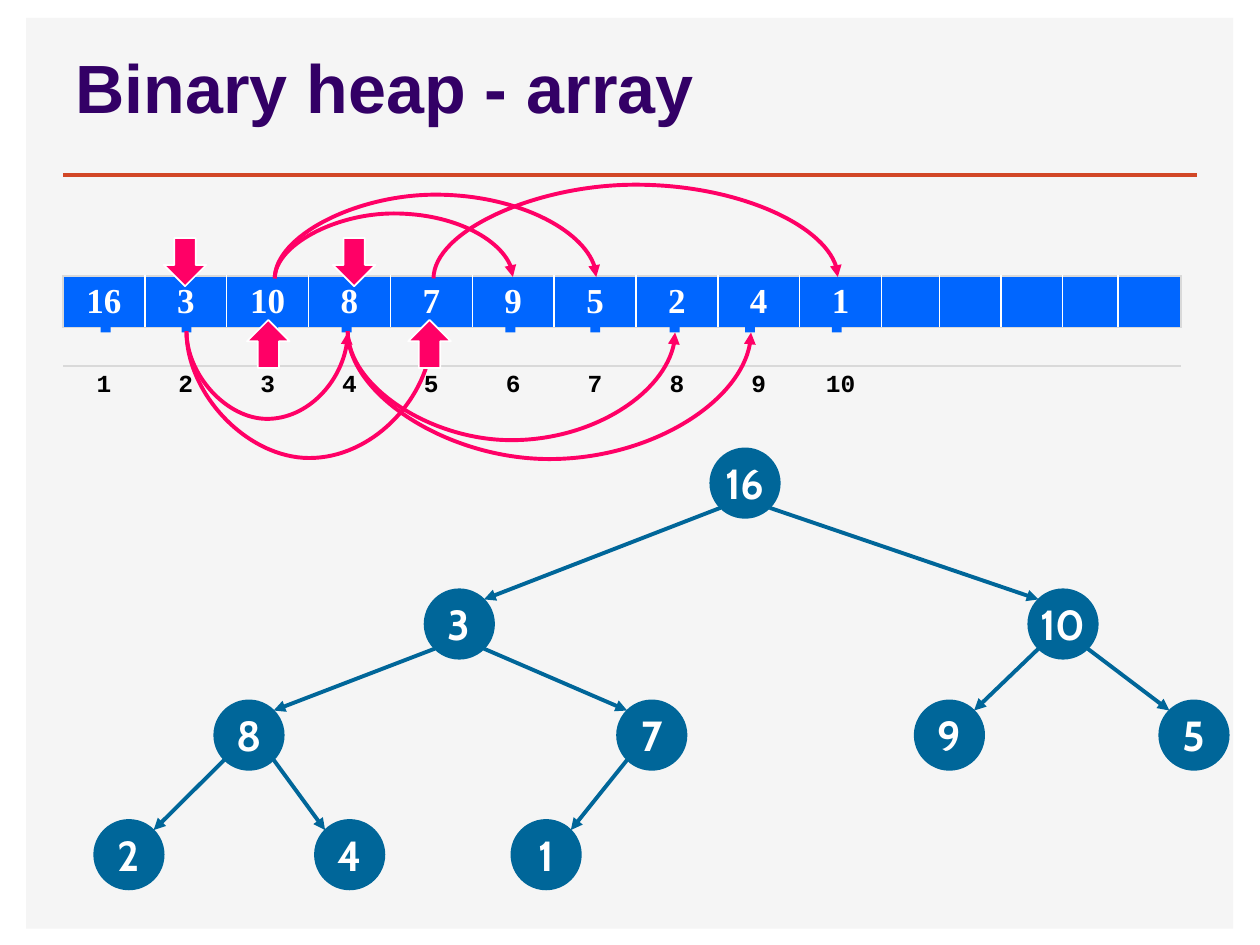
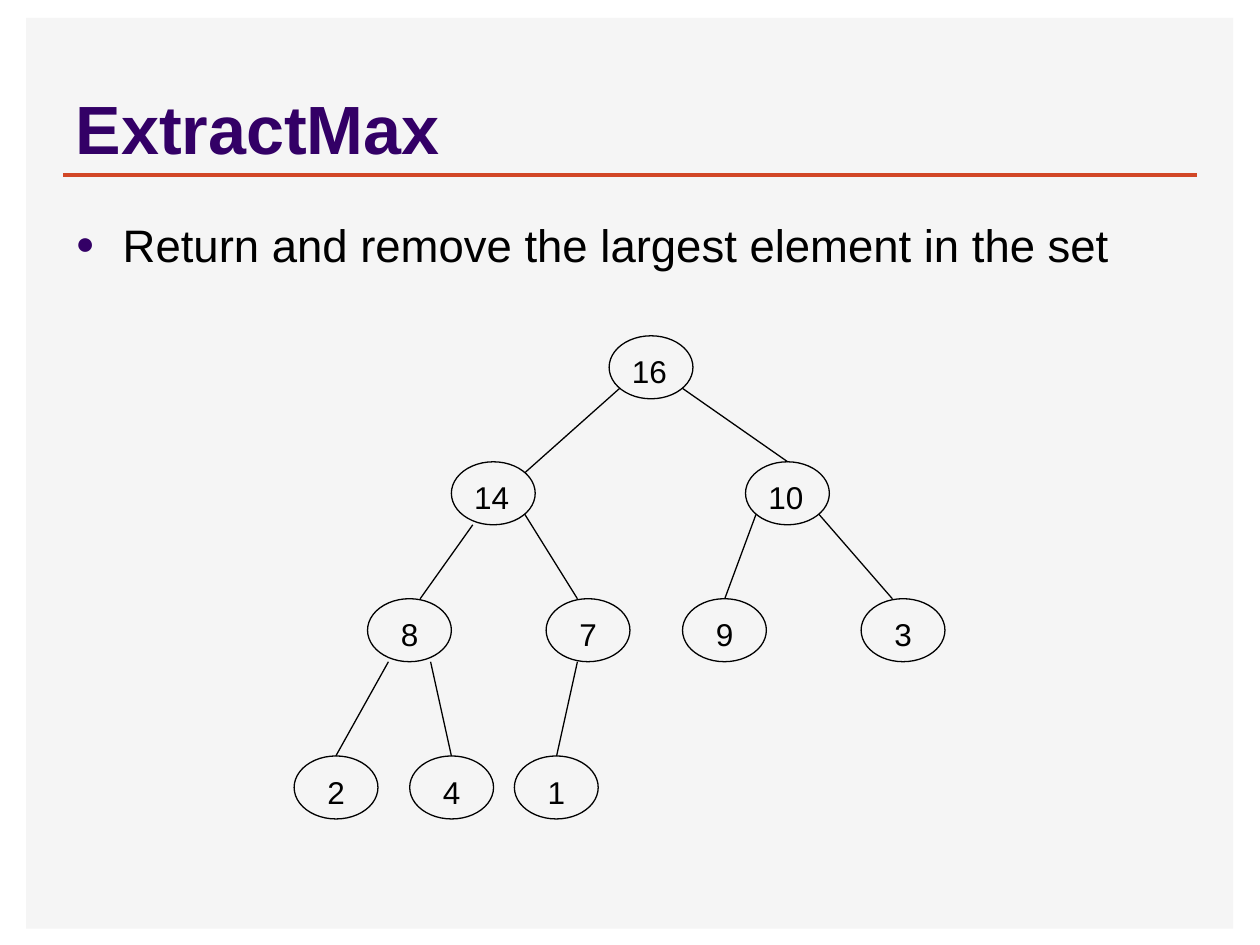
from lxml.etree import SubElement
from pptx import Presentation
from pptx.dml.color import RGBColor
from pptx.enum.shapes import MSO_CONNECTOR as Link, MSO_SHAPE as Form
from pptx.enum.text import MSO_ANCHOR as Anchor, PP_ALIGN as Align
from pptx.oxml.ns import qn
from pptx.util import Cm, Pt

PANEL = RGBColor(0xF5, 0xF5, 0xF5)
RULE = RGBColor(0xD2, 0x47, 0x26)
PURPLE = RGBColor(0x33, 0x00, 0x66)
BLUE = RGBColor(0x00, 0x66, 0xFF)
TEAL = RGBColor(0x00, 0x66, 0x99)
PINK = RGBColor(0xFF, 0x00, 0x66)
GREY = RGBColor(0xD9, 0xD9, 0xD9)
WHITE = RGBColor(0xFF, 0xFF, 0xFF)
BLACK = RGBColor(0x00, 0x00, 0x00)

TITLE_LAYOUT, LIST_LAYOUT = 5, 1
NO_GRID = "{2D5ABB26-0587-4C30-8999-92F81FD0307C}"

HEAP = [16, 3, 10, 8, 7, 9, 5, 2, 4, 1]
WIDTHS = [1.65] * len(HEAP) + [1.17, 1.24, 1.24, 1.12, 1.27]
ROWS = [1.04, 0.74, 0.94]
PORTS = [2.13, 3.76, 5.51, 6.99, 8.71, 10.29, 12, 13.6, 15.12, 16.87]
# start x, end x, y of the farthest point
ABOVE = [(5.54, 10.34, 4.29), (5.54, 12.02, 3.91), (8.74, 16.89, 3.71)]
BELOW = [(3.76, 7.01, 8.46), (3.76, 8.71, 9.25),
         (7.01, 15.14, 9.27), (7.01, 13.61, 8.89)]
# node centres, in heap order
SPOTS = [(15.02, 9.74), (9.26, 12.58), (21.43, 12.58), (5.02, 14.82),
         (13.14, 14.82), (19.14, 14.82), (24.07, 14.82), (2.6, 17.23),
         (7.05, 17.23), (11.01, 17.23)]

# top of each level, then the value and left edge of its nodes
LEVELS = [(6.77, [(16, 12.28)]),
          (9.31, [(14, 9.1), (10, 15.03)]),
          (12.07, [(8, 7.41), (7, 11.01), (9, 13.76), (3, 17.36)]),
          (15.24, [(2, 5.93), (4, 8.26), (1, 10.37)])]
EDGES = [(12.49, 7.83, 10.58, 9.53), (13.76, 7.83, 15.88, 9.31),
         (9.53, 10.58, 8.47, 12.07), (10.58, 10.37, 11.64, 12.07),
         (15.24, 10.37, 14.61, 12.07), (16.51, 10.37, 17.99, 12.07),
         (7.83, 13.34, 6.77, 15.24), (8.68, 13.34, 9.1, 15.24),
         (11.64, 13.34, 11.22, 15.24)]


class Deck:
    def __init__(self):
        self.prs = Presentation()
        self.prs.slide_width, self.prs.slide_height = Cm(25.4), Cm(19.05)
        self.slide = None

    def page(self, layout, title, top, height):
        self.slide = self.prs.slides.add_slide(self.prs.slide_layouts[layout])
        head = self.slide.shapes.title
        self.place(head, 1.27, top, 22.86, height)
        head.text_frame.vertical_anchor = Anchor.BOTTOM
        self.add_text(head.text_frame, title, 39, PURPLE, bold=True)

    def frame(self):
        """Move the panel and the rule to the master, so all slides show them."""
        panel = self.shape(Form.RECTANGLE, 0.53, 0.36, 24.33, 18.36, PANEL)
        rule = self.line(1.27, 3.53, 24.13, 3.53, RULE, 2)
        tree = self.prs.slide_master.shapes.element
        for i, item in enumerate((panel, rule)):
            item.element.xpath(".//p:cNvPr")[0].set("id", str(50 + i))
            tree.insert(2 + i, item.element)

    def place(self, item, x, y, w, h):
        item.left, item.top, item.width, item.height = map(Cm, (x, y, w, h))

    def add_text(self, box, text, size, color, font="Arial", bold=False,
                 align=Align.LEFT):
        para = box.paragraphs[0]
        para.alignment = align
        run = para.add_run()
        run.text = str(text)
        run.font.size, run.font.name, run.font.bold = Pt(size), font, bold
        run.font.color.rgb = color
        return para

    def bullet(self, text, x, y, w, h):
        body = self.slide.placeholders[1]
        self.place(body, x, y, w, h)
        para = self.add_text(body.text_frame, text, 26, BLACK)
        props = para._p.get_or_add_pPr()
        props.set("marL", str(Cm(0.95)))
        props.set("indent", str(-Cm(0.95)))
        color = SubElement(props, qn("a:buClr"))
        SubElement(color, qn("a:srgbClr"), val=str(PURPLE))
        SubElement(props, qn("a:buSzPct"), val="70000")
        SubElement(props, qn("a:buFont"), typeface="Arial")
        SubElement(props, qn("a:buChar"), char="●")

    def shape(self, form, x, y, w, h, fill=None, edge=None, width=1):
        item = self.slide.shapes.add_shape(form, *map(Cm, (x, y, w, h)))
        item.shadow.inherit = False
        if fill is None:
            item.fill.background()
        else:
            item.fill.solid()
            item.fill.fore_color.rgb = fill
        if edge is None:
            item.line.fill.background()
        else:
            item.line.color.rgb = edge
            item.line.width = Pt(width)
        return item

    def line(self, x1, y1, x2, y2, color, width, tip=False, kind=Link.STRAIGHT):
        item = self.slide.shapes.add_connector(kind, *map(Cm, (x1, y1, x2, y2)))
        item.line.color.rgb = color
        item.line.width = Pt(width)
        props = item.element.spPr
        if tip:
            SubElement(props.find(qn("a:ln")), qn("a:tailEnd"), type="triangle")
        SubElement(props, qn("a:effectLst"))
        return item

    def arc(self, x1, x2, y, peak):
        """Draw a curved arrow from x1 to x2 that bulges out to peak."""
        thin = 0.03
        mid, half = (x1 + x2) / 2, (x2 - x1) / 2
        up = peak < y
        rise = half if up else -half
        item = self.line(mid + thin / 2, y + rise, mid - thin / 2, y - rise,
                         PINK, 2.25, True, Link.CURVE)
        props = item.element.spPr
        props.find(qn("a:xfrm")).set("rot", str((90 if up else 270) * 60000))
        guides = props.find(qn("a:prstGeom")).find(qn("a:avLst"))
        bend = round(abs(peak - y) / thin * 100000)
        SubElement(guides, qn("a:gd"), name="adj1", fmla=f"val {bend}")

    def disc(self, text, x, y, size):
        item = self.shape(Form.OVAL, x - size / 2, y - size / 2, size, size,
                          TEAL, TEAL)
        box = item.text_frame
        box.margin_left = box.margin_right = 0
        box.margin_top = box.margin_bottom = 0
        box.vertical_anchor = Anchor.MIDDLE
        self.add_text(box, text, 24, WHITE, "Cabin", True, Align.CENTER)

    def label(self, text, x, y, w, h):
        item = self.slide.shapes.add_textbox(*map(Cm, (x, y, w, h)))
        item.text_frame.word_wrap = True
        self.add_text(item.text_frame, text, 18, BLACK).space_before = Pt(2)

    def border(self, cell, **sides):
        """Set cell borders; sides maps L, R, T, B to colours."""
        props = cell._tc.get_or_add_tcPr()
        for i, side in enumerate(s for s in "LRTB" if s in sides):
            edge = SubElement(props, qn(f"a:ln{side}"), w=str(Pt(1)))
            fill = SubElement(edge, qn("a:solidFill"))
            SubElement(fill, qn("a:srgbClr"), val=str(sides[side]))
            props.insert(i, edge)

    def array(self, values, x, y):
        """Draw the row of values, a gap, and the row of positions."""
        item = self.slide.shapes.add_table(
            len(ROWS), len(WIDTHS), *map(Cm, (x, y, sum(WIDTHS), sum(ROWS))))
        item.element.xpath(".//a:tableStyleId")[0].text = NO_GRID
        table = item.table
        table.first_row = table.horz_banding = False
        for row, high in zip(table.rows, ROWS):
            row.height = Cm(high)
        last = len(WIDTHS) - 1
        for i, wide in enumerate(WIDTHS):
            table.columns[i].width = Cm(wide)
            value, gap, place = (table.cell(r, i) for r in range(len(ROWS)))
            for cell in (value, gap, place):
                cell.margin_left = cell.margin_right = 0
                cell.margin_top = cell.margin_bottom = 0
                cell.fill.background()
            value.fill.solid()
            value.fill.fore_color.rgb = BLUE
            value.vertical_anchor = Anchor.MIDDLE
            self.border(value, L=WHITE if i else GREY,
                        R=WHITE if i < last else GREY, T=GREY, B=GREY)
            self.border(place, T=GREY)
            if i < len(values):
                place.margin_top = Cm(0.13)
                self.add_text(value.text_frame, values[i], 20, WHITE,
                              "Times New Roman", True, Align.CENTER)
                self.add_text(place.text_frame, i + 1, 14, BLACK,
                              "Courier New", True, Align.CENTER)

    def heap(self, values, spots, size):
        """Draw the tree; node i hangs from node (i - 1) // 2."""
        reach = size / 2 * 0.71
        for i, (x, y) in enumerate(spots):
            if i:
                px, py = spots[(i - 1) // 2]
                side = -reach if i % 2 else reach
                self.line(px + side, py + reach, x - side, y - reach,
                          TEAL, 2.25, True)
            self.disc(values[i], x, y, size)


def heap_page(deck):
    deck.page(TITLE_LAYOUT, "Binary heap - array", 0.64, 2.06)
    deck.frame()
    deck.array(HEAP, 1.27, 5.56)
    for y in (5.61, 6.5):
        for x in PORTS:
            deck.shape(Form.RECTANGLE, x - 0.1, y, 0.2, 0.2, BLUE)
    for y, arcs in ((5.6, ABOVE), (6.69, BELOW)):
        for x1, x2, peak in arcs:
            deck.arc(x1, x2, y, peak)
    deck.heap(HEAP, SPOTS, 1.4)
    for turn, y, lefts in ((180, 4.8, (3.3, 6.71)), (0, 6.45, (4.98, 8.23))):
        for x in lefts:
            mark = deck.shape(Form.UP_ARROW, x, y, 0.86, 0.97, PINK, WHITE)
            mark.rotation = turn


def max_page(deck):
    deck.page(LIST_LAYOUT, "ExtractMax", 0.33, 3.18)
    deck.bullet("Return and remove the largest element in the set",
                1.27, 4.24, 22.86, 1.7)
    for edge in EDGES:
        deck.line(*edge, BLACK, 0.75)
    for y, nodes in LEVELS:
        for value, x in nodes:
            deck.shape(Form.OVAL, x, y, 1.69, 1.27, None, BLACK, 0.75)
            shift = 0.21 if value > 9 else 0.42
            deck.label(value, x + shift, y + 0.21, 1.48, 1.02)


def main():
    deck = Deck()
    heap_page(deck)
    max_page(deck)
    deck.prs.save("out.pptx")


if __name__ == "__main__":
    main()
